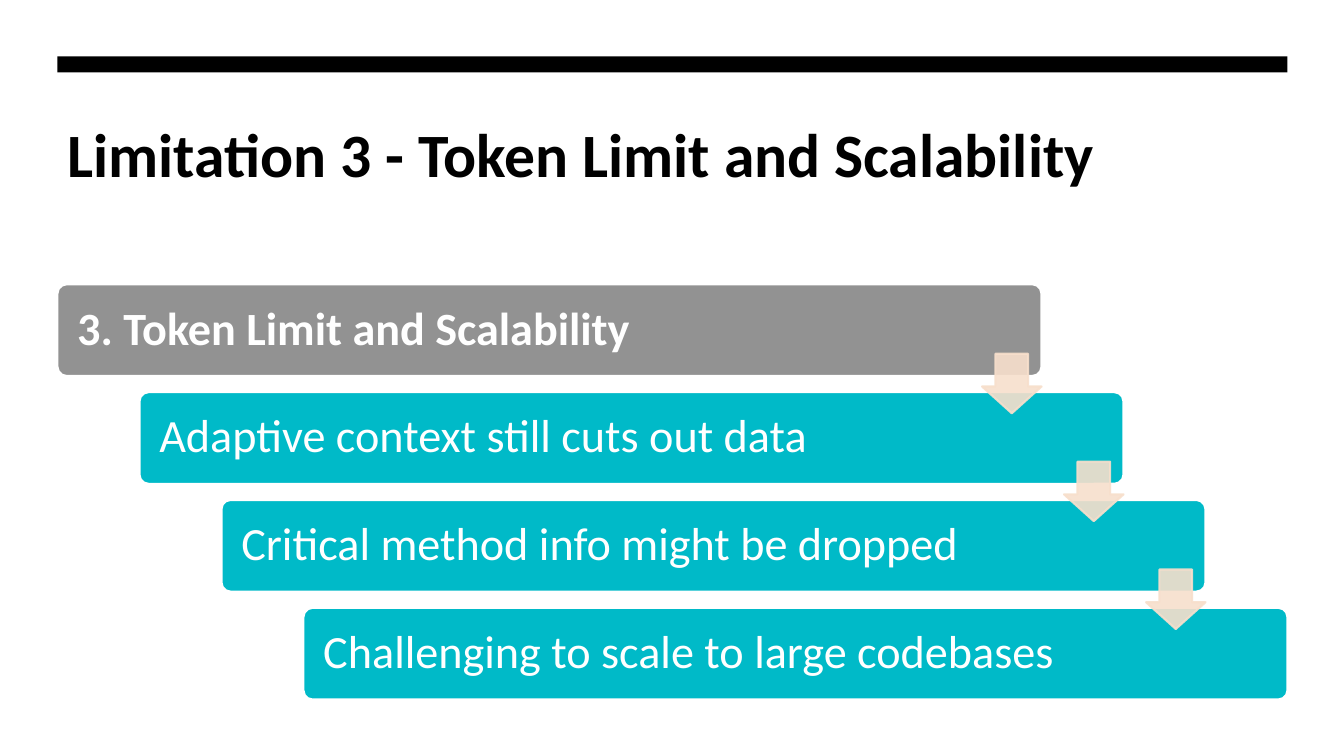
from collections import namedtuple
from dataclasses import dataclass

from lxml.etree import SubElement
from pptx import Presentation
from pptx.dml.color import RGBColor as Rgb
from pptx.enum.shapes import MSO_SHAPE as Form
from pptx.enum.text import MSO_ANCHOR as Anchor, PP_ALIGN as Align
from pptx.oxml.ns import qn
from pptx.util import Emu, Pt

Box = namedtuple("Box", "x y w h")
SCALE = 9144


@dataclass(frozen=True)
class Theme:
    """Colours and type sizes of the slide."""
    font: str = "Calibri"
    ink: str = "000000"
    paper: str = "FFFFFF"
    head: str = "929292"
    step: str = "00BAC8"
    arrow: str = "F7DFCC"
    title: int = 44
    body: int = 33
    edge: float = 1.5


THEME = Theme()
STEPS = (
    "3. Token Limit and Scalability",
    "Adaptive context still cuts out data",
    "Critical method info might be dropped",
    "Challenging to scale to large codebases",
)


def px(size):
    """Turn px into EMU."""
    return Emu(round(size * SCALE))


def place(shape, box):
    """Move a shape into a box."""
    shape.left, shape.top, shape.width, shape.height = map(px, box)


def write(shape, text, size, color, bold=False, anchor=Anchor.MIDDLE, pad=(10, 5), line=1.0):
    """Put formatted text into a shape."""
    frame = shape.text_frame
    frame.word_wrap = True
    frame.vertical_anchor = anchor
    frame.margin_left = frame.margin_right = px(pad[0])
    frame.margin_top = frame.margin_bottom = px(pad[1])
    para = frame.paragraphs[0]
    para.alignment = Align.LEFT
    para.line_spacing = line
    run = para.add_run()
    run.text = text
    font = run.font
    font.name, font.size, font.bold = THEME.font, Pt(size), bold
    font.color.rgb = Rgb.from_string(color)


def fade(fill, share):
    """Make a solid fill partly clear."""
    for tint in fill.iter(qn("a:srgbClr")):
        SubElement(tint, qn("a:alpha"), val=str(share * 1000))


def draw(slide, form, box, color, edge=None, adjust=()):
    """Add a flat shape with an optional edge."""
    shape = slide.shapes.add_shape(form, *map(px, box))
    shape.shadow.inherit = False
    shape.fill.solid()
    shape.fill.fore_color.rgb = Rgb.from_string(color)
    if edge:
        shape.line.color.rgb = Rgb.from_string(edge)
        shape.line.width = Pt(THEME.edge)
    else:
        shape.line.fill.background()
    for i, value in enumerate(adjust):
        shape.adjustments[i] = value
    return shape


def header(slide, box):
    """Place the black rule and the title below it."""
    draw(slide, Form.RECTANGLE, Box(box.x, box.y, box.w, 16), THEME.ink)
    title = slide.shapes.title
    place(title, Box(box.x, box.y + 51, box.w, box.h - 51))
    write(title, "Limitation 3 - Token Limit and Scalability", THEME.title,
          THEME.ink, bold=True, anchor=Anchor.TOP, pad=(10, 8))


def stairs(slide, box):
    """Place the stepped bars and the arrows that join them."""
    wide, high, side = 976, 91, 59
    last = len(STEPS) - 1
    bars = [Box(box.x + i * (box.w - wide) / last, box.y + i * (box.h - high) / last, wide, high)
            for i in range(len(STEPS))]
    for i, (bar, text) in enumerate(zip(bars, STEPS)):
        shape = draw(slide, Form.ROUNDED_RECTANGLE, bar, THEME.step if i else THEME.head,
                     THEME.paper, (0.1,))
        write(shape, text, THEME.body, THEME.paper, bold=not i, pad=(17, 14), line=0.9)
    for bar in bars[:-1]:
        spot = Box(bar.x + wide - side, bar.y + 69, side, side)
        arrow = draw(slide, Form.DOWN_ARROW, spot, THEME.arrow, THEME.arrow, (0.55, 0.45))
        fade(arrow.element.spPr, 90)


def main():
    """Build and save the slide."""
    deck = Presentation()
    deck.slide_width, deck.slide_height = px(1333), px(750)
    slide = deck.slides.add_slide(deck.slide_layouts[5])
    header(slide, Box(57, 56, 1220, 211))
    stairs(slide, Box(57, 282, 1220, 412))
    deck.save("out.pptx")


if __name__ == "__main__":
    main()
